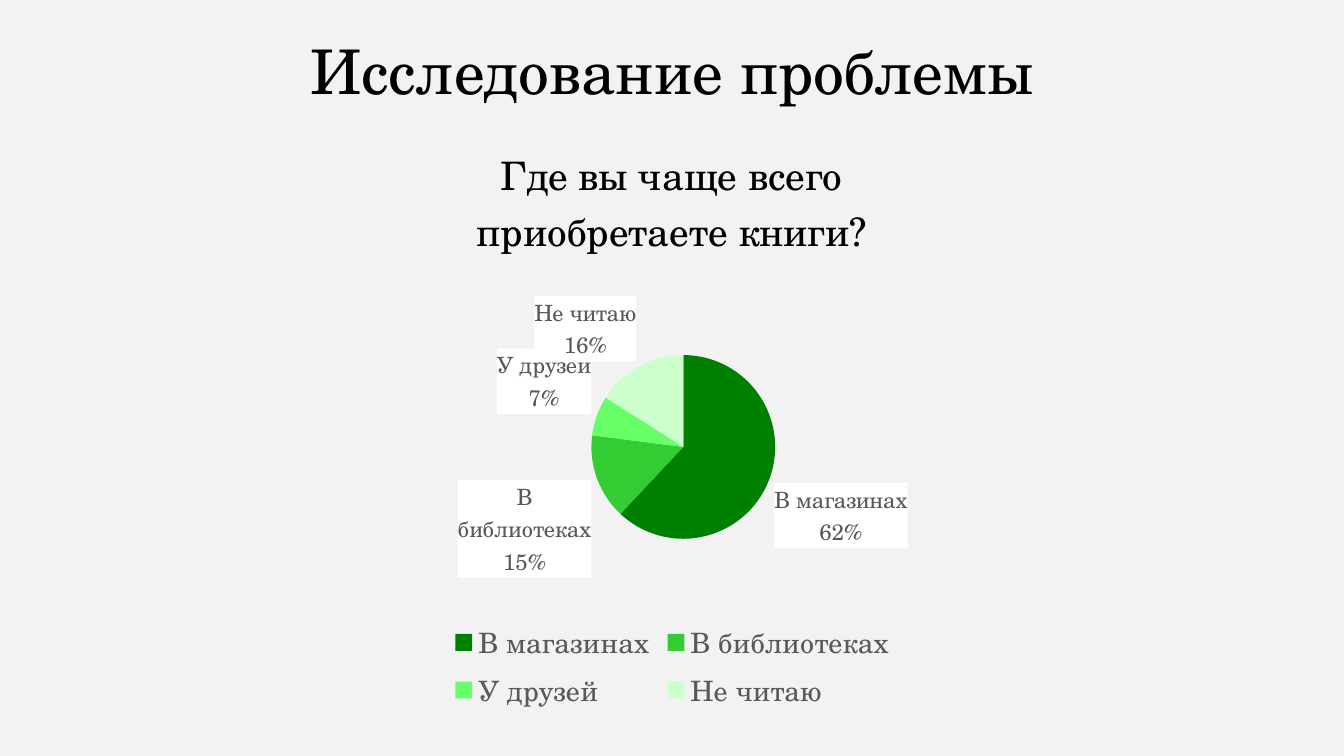
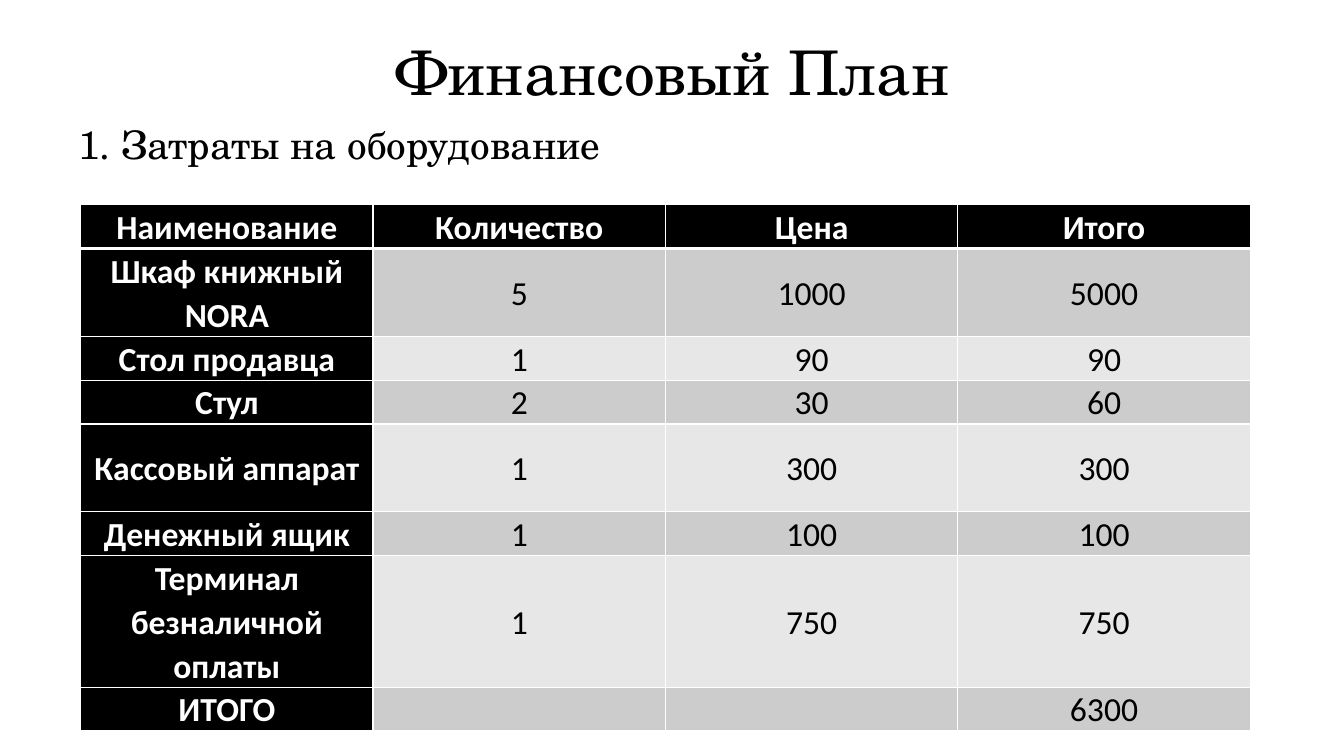
from lxml import etree
from pptx import Presentation
from pptx.chart.data import CategoryChartData
from pptx.dml.color import RGBColor
from pptx.enum import chart as charts, text
from pptx.oxml import parse_xml
from pptx.oxml.ns import nsdecls, qn
from pptx.util import Inches, Pt

SERIF, SANS = "TeX Gyre Schola", "Calibri"
BLACK = RGBColor(0x00, 0x00, 0x00)
WHITE = RGBColor(0xFF, 0xFF, 0xFF)
PALE = RGBColor(0xF2, 0xF2, 0xF2)
GREY = RGBColor(0x59, 0x59, 0x59)
BANDS = [RGBColor(0xCC, 0xCC, 0xCC), RGBColor(0xE7, 0xE7, 0xE7)]

SURVEY_TITLE = "Исследование проблемы"
QUESTION = ["Где вы чаще всего", "приобретаете книги?"]
ANSWERS = [
    ("В магазинах", 62, RGBColor(0x00, 0x80, 0x00)),
    ("В библиотеках", 15, RGBColor(0x33, 0xCC, 0x33)),
    ("У друзей", 7, RGBColor(0x66, 0xFF, 0x66)),
    ("Не читаю", 16, RGBColor(0xCC, 0xFF, 0xCC)),
]
PIE_AREA = {"x": 0.39, "y": 0.39, "w": 0.25, "h": 0.31}

PLAN_TITLE = "Финансовый План"
PLAN_HEADING = "1. Затраты на оборудование"
COSTS = [
    ("Наименование", "Количество", "Цена", "Итого"),
    ("Шкаф книжный NORA", "5", "1000", "5000"),
    ("Стол продавца", "1", "90", "90"),
    ("Стул", "2", "30", "60"),
    ("Кассовый аппарат", "1", "300", "300"),
    ("Денежный ящик", "1", "100", "100"),
    ("Терминал безналичной оплаты", "1", "750", "750"),
    ("ИТОГО", "", "", "6300"),
]
LINES_PER_ROW = [1, 2, 1, 1, 2, 1, 3, 1]
LINE_HEIGHT = 0.435
COLUMN_WIDTH = 2.9


def style(font, size, color, name=SERIF, bold=False):
    values = {"size": Pt(size), "name": name, "bold": bold}
    for key, value in values.items():
        setattr(font, key, value)
    font.color.rgb = color


def add_page(deck, title, background, top, height):
    """Add a slide with a coloured background and a centred title."""
    page = deck.slides.add_slide(deck.slide_layouts[5])
    page.background.fill.solid()
    page.background.fill.fore_color.rgb = background
    box = page.shapes.title
    box.left, box.top = Inches(0.92), Inches(top)
    box.width, box.height = Inches(11.5), Inches(height)
    frame = box.text_frame
    frame.vertical_anchor = text.MSO_ANCHOR.MIDDLE
    para = frame.paragraphs[0]
    para.alignment = text.PP_ALIGN.CENTER
    para.line_spacing = 0.9
    span = para.add_run()
    span.text = title
    style(span.font, 44, BLACK)
    return page


def place_plot(chart, area):
    """Fix the inner plot area as fractions of the chart."""
    plot_area = chart.plots[0]._element.getparent()
    for old in plot_area.findall(qn("c:layout")):
        plot_area.remove(old)
    layout = etree.Element(qn("c:layout"))
    manual = etree.SubElement(layout, qn("c:manualLayout"))
    settings = {"layoutTarget": "inner", "xMode": "edge", "yMode": "edge", **area}
    for tag, value in settings.items():
        etree.SubElement(manual, qn(f"c:{tag}")).set("val", str(value))
    plot_area.insert(0, layout)


def add_survey_chart(page):
    data = CategoryChartData()
    data.categories = [name for name, _, _ in ANSWERS]
    data.add_series("Series 1", [value for _, value, _ in ANSWERS])
    chart = page.shapes.add_chart(
        charts.XL_CHART_TYPE.PIE, Inches(2.92), Inches(1.23),
        Inches(7.49), Inches(5.88), data).chart
    style(chart.font, 16, BLACK)

    chart.has_title = True
    frame = chart.chart_title.text_frame
    for index, line in enumerate(QUESTION):
        para = frame.add_paragraph() if index else frame.paragraphs[0]
        span = para.add_run()
        span.text = line
        style(span.font, 28, BLACK)

    chart.has_legend = True
    chart.legend.position = charts.XL_LEGEND_POSITION.BOTTOM
    chart.legend.include_in_layout = False
    style(chart.legend.font, 20, GREY)

    plot = chart.plots[0]
    plot.vary_by_categories = True
    for index, (_, _, color) in enumerate(ANSWERS):
        fill = plot.series[0].points[index].format.fill
        fill.solid()
        fill.fore_color.rgb = color

    plot.has_data_labels = True
    labels = plot.data_labels
    options = {
        "show_percentage": True, "show_category_name": True,
        "show_value": False, "number_format": "0%",
        "number_format_is_linked": False,
        "position": charts.XL_LABEL_POSITION.OUTSIDE_END,
    }
    for key, value in options.items():
        setattr(labels, key, value)
    style(labels.font, 16, GREY)
    labels._element.find(qn("c:numFmt")).addnext(parse_xml(
        f'<c:spPr {nsdecls("c", "a")}><a:solidFill>'
        f'<a:srgbClr val="{WHITE}"/></a:solidFill></c:spPr>'))
    place_plot(chart, PIE_AREA)


def set_borders(cell, widths):
    """Draw white borders; widths maps each side to points."""
    properties = cell._tc.get_or_add_tcPr()
    for index, side in enumerate("LRTB"):
        properties.insert(index, parse_xml(
            f'<a:ln{side} {nsdecls("a")} w="{Pt(widths[side])}"><a:solidFill>'
            f'<a:srgbClr val="{WHITE}"/></a:solidFill></a:ln{side}>'))


def fill_cell(cell, content, row, column):
    heading = row == 0 or column == 0
    cell.fill.solid()
    cell.fill.fore_color.rgb = BLACK if heading else BANDS[(row - 1) % 2]
    layout = {
        "margin_left": Inches(0.13), "margin_right": Inches(0.13),
        "margin_top": 0, "margin_bottom": 0,
        "vertical_anchor": text.MSO_ANCHOR.MIDDLE if row else text.MSO_ANCHOR.TOP,
    }
    for key, value in layout.items():
        setattr(cell, key, value)
    set_borders(cell, {"L": 1, "R": 1, "T": 3 if row == 1 else 1,
                       "B": 3 if row == 0 else 1})
    if content:
        para = cell.text_frame.paragraphs[0]
        para.alignment = text.PP_ALIGN.CENTER
        para.line_spacing = 1.07
        span = para.add_run()
        span.text = content
        style(span.font, 24, WHITE if heading else BLACK, SANS, heading)


def add_cost_table(page):
    columns = len(COSTS[0])
    table = page.shapes.add_table(
        len(COSTS), columns, Inches(0.8), Inches(2.03),
        Inches(COLUMN_WIDTH * columns),
        Inches(LINE_HEIGHT * sum(LINES_PER_ROW))).table
    for column in table.columns:
        column.width = Inches(COLUMN_WIDTH)
    for row, (values, lines) in enumerate(zip(COSTS, LINES_PER_ROW)):
        table.rows[row].height = Inches(LINE_HEIGHT * lines)
        for column, content in enumerate(values):
            fill_cell(table.cell(row, column), content, row, column)


def add_plan_heading(page):
    box = page.shapes.add_textbox(
        Inches(0.68), Inches(1.14), Inches(10.92), Inches(0.57))
    box.text_frame.word_wrap = True
    span = box.text_frame.paragraphs[0].add_run()
    span.text = PLAN_HEADING
    style(span.font, 28, BLACK)


def main():
    deck = Presentation()
    deck.slide_width, deck.slide_height = Inches(13.33), Inches(7.5)
    add_survey_chart(add_page(deck, SURVEY_TITLE, PALE, 0.25, 0.98))
    plan = add_page(deck, PLAN_TITLE, WHITE, 0.3, 0.89)
    add_cost_table(plan)
    add_plan_heading(plan)
    deck.save("out.pptx")


if __name__ == "__main__":
    main()
